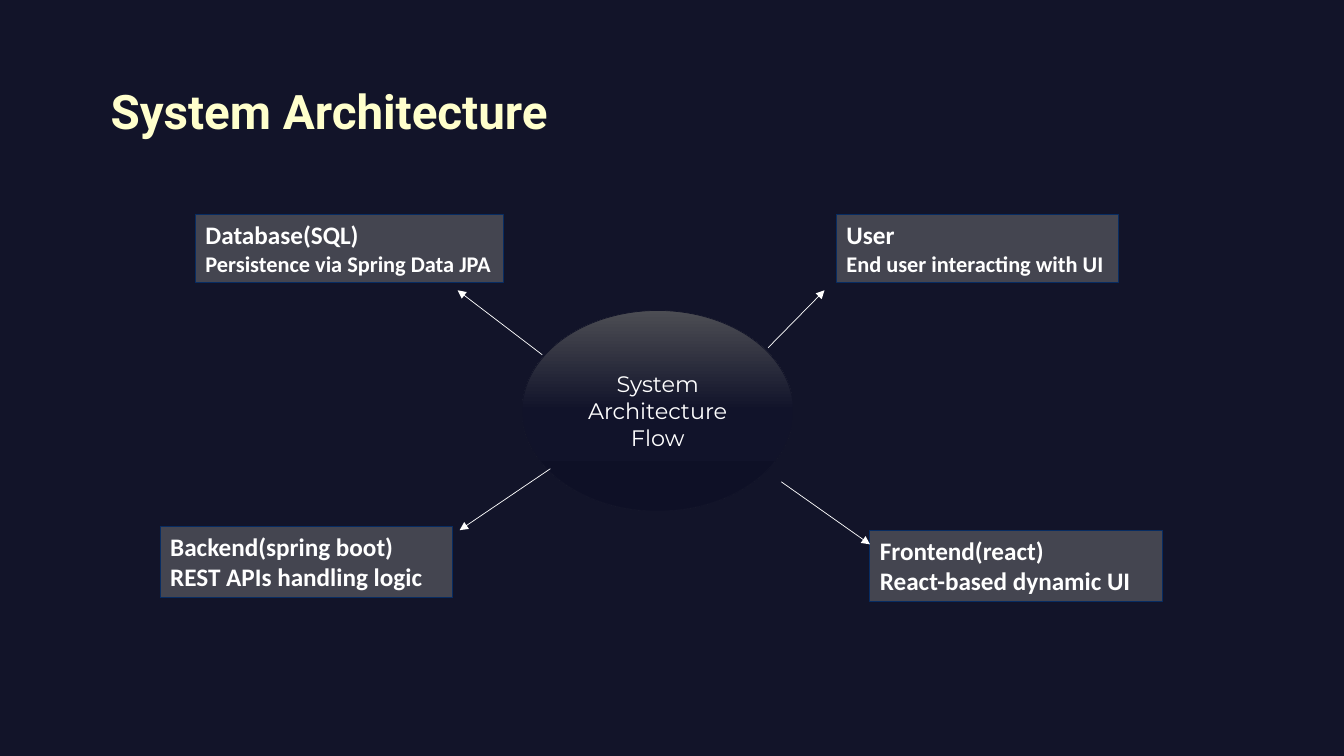
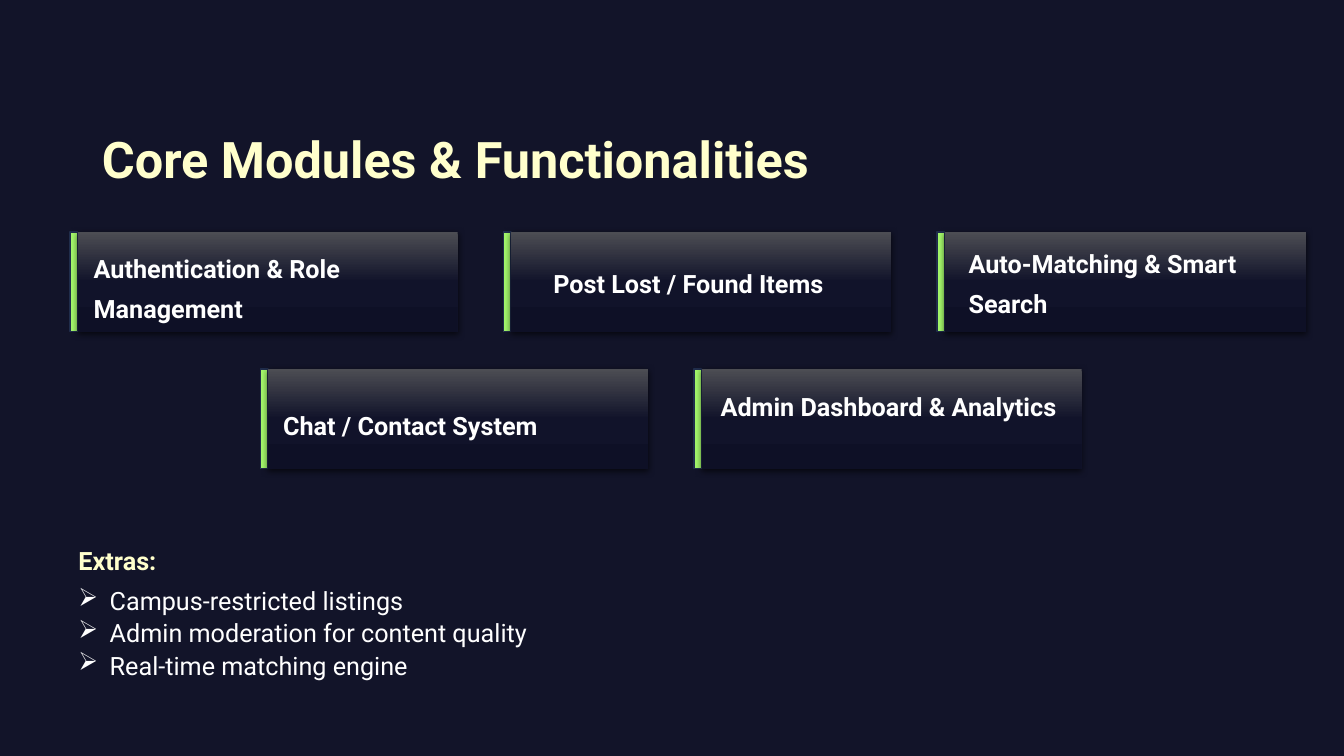
from dataclasses import dataclass
from lxml.etree import SubElement
from pptx import Presentation
from pptx.dml.color import RGBColor
from pptx.enum.shapes import MSO_CONNECTOR, MSO_SHAPE
from pptx.enum.text import MSO_ANCHOR, PP_ALIGN
from pptx.oxml.ns import qn
from pptx.util import Emu, Inches, Pt


@dataclass(frozen=True)
class Theme:
    back: str = "121429"
    head: str = "FFFFCC"
    text: str = "FFFFFF"
    box: str = "444550"
    edge: str = "072C62"
    bar: str = "A3F66A"
    rim: str = "202D4B"
    fade: tuple = ((0, "4C4D53"), (50, "11132A"), (100, "0E1026"))
    main: str = "Roboto"
    label: str = "Calibri"
    hub: str = "Montserrat"
    body: int = 18
    small: int = 16


def node(parent, tag, **attrs):
    return SubElement(parent, qn(tag), {k: str(v) for k, v in attrs.items()})


class Deck:
    """Holds the style and the current slide; lengths are percent of the slide."""

    def __init__(self, theme):
        self.theme = theme
        self.show = Presentation()
        self.show.slide_width = Inches(13.333)
        self.show.slide_height = Inches(7.5)

    def page(self):
        self.slide = self.show.slides.add_slide(self.show.slide_layouts[6])
        self.paint(self.slide.background.fill, self.theme.back)

    def place(self, *sizes):
        full = (self.show.slide_width, self.show.slide_height) * 2
        return [Emu(round(size * side / 100)) for size, side in zip(sizes, full)]

    def paint(self, fill, color):
        fill.solid()
        fill.fore_color.rgb = RGBColor.from_string(color)

    def stroke(self, line, color, width):
        self.paint(line.fill, color)
        line.width = Pt(width)

    def words(self, frame, lines, sizes, face, color=None, bold=False,
              align=PP_ALIGN.LEFT, lead=None, mark=None):
        frame.word_wrap = True
        frame.text = "\n".join(lines)
        for para, size in zip(frame.paragraphs, sizes):
            if mark:
                props = para._p.get_or_add_pPr()
                props.set("marL", str(Inches(0.31)))
                props.set("indent", str(-Inches(0.31)))
                node(props, "a:buChar", char=mark)
            para.alignment = align
            if lead:
                para.line_spacing = Pt(lead)
            for run in para.runs:
                run.font.name, run.font.size, run.font.bold = face, Pt(size), bold
                run.font.color.rgb = RGBColor.from_string(color or self.theme.text)

    def text(self, area, lines, size=None, **style):
        box = self.slide.shapes.add_textbox(*self.place(*area))
        sizes = [size or self.theme.body] * len(lines)
        self.words(box.text_frame, lines, sizes, self.theme.main, **style)

    def title(self, area, label, size, lead=None):
        self.text(area, [label], size, color=self.theme.head, bold=True,
                  align=PP_ALIGN.CENTER, lead=lead)

    def shape(self, kind, area, fill=None, edge=None, width=1):
        item = self.slide.shapes.add_shape(kind, *self.place(*area))
        item.shadow.inherit = False
        if fill:
            self.paint(item.fill, fill)
        else:
            self.blend(item)
        if edge:
            self.stroke(item.line, edge, width)
        else:
            item.line.fill.background()
        return item

    def blend(self, item):
        item.fill.gradient()
        item.fill.gradient_angle = 270
        stops = item.element.spPr.find(".//" + qn("a:gsLst"))
        stops.clear()
        for share, color in self.theme.fade:
            node(node(stops, "a:gs", pos=share * 1000), "a:srgbClr", val=color)

    def box(self, area, lines, sizes):
        item = self.shape(MSO_SHAPE.RECTANGLE, area, self.theme.box, self.theme.edge, 0.75)
        item.text_frame.vertical_anchor = MSO_ANCHOR.TOP
        self.words(item.text_frame, lines, sizes, self.theme.label, bold=True)

    def hub(self, area, lines):
        item = self.shape(MSO_SHAPE.FLOWCHART_CONNECTOR, area, None, self.theme.back, 0.5)
        item.text_frame.vertical_anchor = MSO_ANCHOR.MIDDLE
        self.words(item.text_frame, lines, [self.theme.small] * len(lines),
                   self.theme.hub, align=PP_ALIGN.CENTER)

    def arrow(self, *ends):
        line = self.slide.shapes.add_connector(MSO_CONNECTOR.STRAIGHT, *self.place(*ends))
        self.stroke(line.line, self.theme.text, 0.5)
        props = line.element.spPr
        node(props.find(qn("a:ln")), "a:tailEnd", type="triangle")
        node(props, "a:effectLst")

    def card(self, left, top, wide, label, inset):
        high, thin = 13.3, 0.57
        self.shape(MSO_SHAPE.FLOWCHART_PROCESS, (left - thin, top, thin, high - 0.1),
                   self.theme.bar, self.theme.rim)
        item = self.shape(MSO_SHAPE.RECTANGLE, (left, top, wide, high))
        glow = node(item.element.spPr.find(qn("a:effectLst")), "a:outerShdw",
                    blurRad=Pt(4.5), dist=Pt(1.5), dir=5400000, algn="t", rotWithShape=0)
        node(node(glow, "a:srgbClr", val="000000"), "a:alpha", val=63000)
        right, down, span = inset
        self.text((left + right, top + down, span, 11), [label], bold=True, lead=29)


def flow(deck):
    deck.page()
    deck.title((6.53, 10.13, 35.93, 8.93), "System Architecture", 34)
    deck.hub((38.85, 41.07, 20.18, 26.53), ["System Architecture", "Flow"])

    # Labelled parts around the hub
    body, small = deck.theme.body, deck.theme.small
    for area, lines, last in (
        ((64.73, 70.13, 21.75, 9.47), ["Frontend(react)", "React-based dynamic UI"], body),
        ((62.25, 28.4, 21, 8.93), ["User", "End user interacting with UI"], small),
        ((11.93, 69.6, 21.75, 9.47), ["Backend(spring boot)", "REST APIs handling logic"], body),
        ((14.55, 28.4, 22.88, 8.93), ["Database(SQL)", "Persistence via Spring Data JPA"], small),
    ):
        deck.box(area, lines, (body, last))

    # Arrows from the hub
    for ends in (
        (57.15, 46, 61.35, 38.4),
        (40.35, 46.93, 34.05, 38.4),
        (58.13, 63.73, 64.73, 72),
        (40.95, 62, 34.2, 70.13),
    ):
        deck.arrow(*ends)


def core(deck):
    deck.page()
    deck.title((1.5, 13.6, 64.8, 12.13), "Core Modules & Functionalities", 36, 58)

    # Two rows of cards with one column step: label, card width, label inset
    step, wide = 32.25, 28.28
    rows = (
        (5.78, 30.67, (
            ("Authentication & Role Management", wide, (0.45, 0.8, 26.55)),
            ("Post Lost / Found Items", wide, (2.4, 2.8, 22.8)),
            ("Auto-Matching & Smart Search", 26.93, (1.05, 0.13, 22.05)),
        )),
        (19.95, 48.8, (
            ("Chat / Contact System", wide, (0.38, 3.47, 24)),
            ("Admin Dashboard & Analytics", wide, (0.68, 0.93, 27.08)),
        )),
    )
    for left, top, cards in rows:
        for col, (label, span, inset) in enumerate(cards):
            deck.card(left + col * step, top, span, label, inset)

    # Extras
    deck.text((5.1, 69.07, 24.9, 7.07), ["Extras:"], color=deck.theme.head,
              bold=True, lead=34.5)
    deck.text((5.1, 76.53, 40.8, 14.27), [
        "Campus-restricted listings",
        "Admin moderation for content quality",
        "Real-time matching engine",
    ], lead=23, mark="➢")


def main():
    deck = Deck(Theme())
    flow(deck)
    core(deck)
    deck.show.save("out.pptx")


if __name__ == "__main__":
    main()
